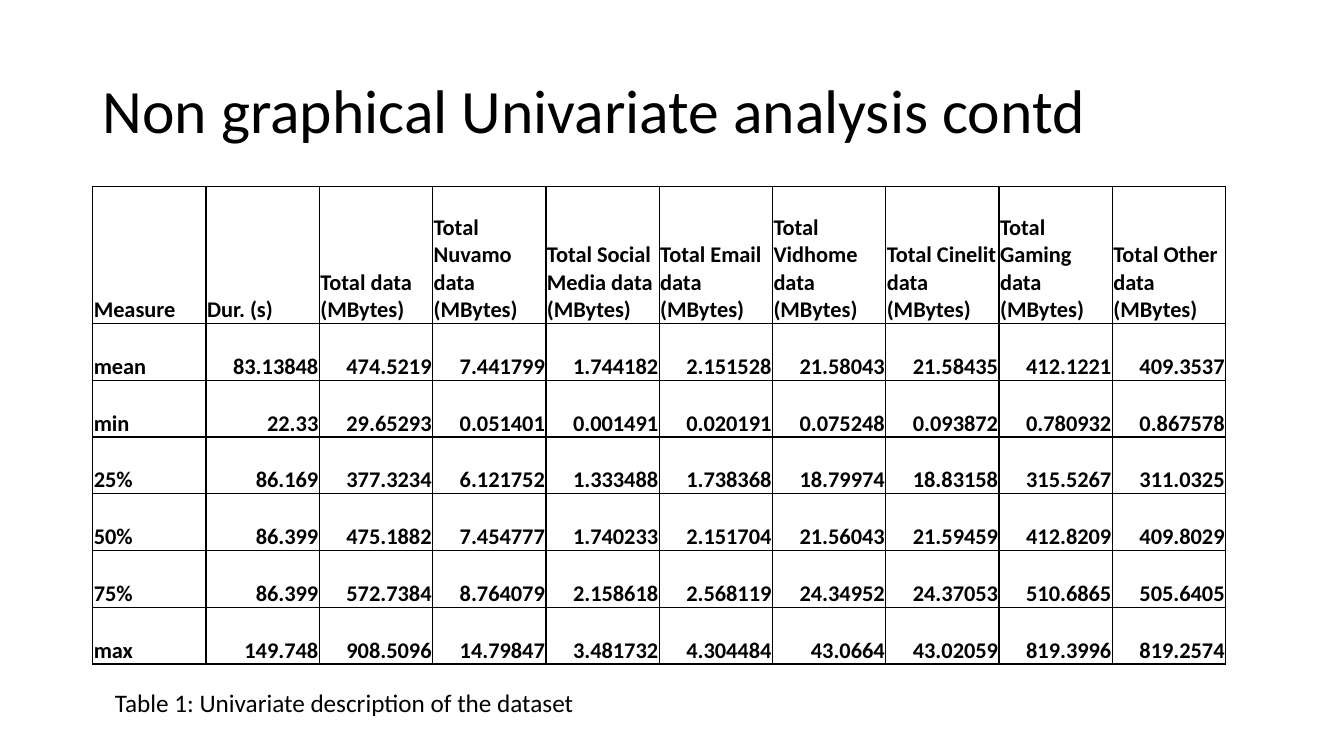
from lxml.etree import SubElement
from pptx import Presentation
from pptx.dml.color import RGBColor
from pptx.enum.text import MSO_ANCHOR as ANCHOR, PP_ALIGN as ALIGN
from pptx.oxml.ns import qn
from pptx.util import Inches, Pt

FONT = "Calibri"
BLACK = "000000"
TOPICS = ["", "Nuvamo ", "Social Media ", "Email ", "Vidhome ", "Cinelit ", "Gaming ", "Other "]
HEADER = ["Measure", "Dur. (s)"] + [f"Total {topic}data (MBytes)" for topic in TOPICS]
STATISTICS = """
mean 83.13848 474.5219 7.441799 1.744182 2.151528 21.58043 21.58435 412.1221 409.3537
min 22.33 29.65293 0.051401 0.001491 0.020191 0.075248 0.093872 0.780932 0.867578
25% 86.169 377.3234 6.121752 1.333488 1.738368 18.79974 18.83158 315.5267 311.0325
50% 86.399 475.1882 7.454777 1.740233 2.151704 21.56043 21.59459 412.8209 409.8029
75% 86.399 572.7384 8.764079 2.158618 2.568119 24.34952 24.37053 510.6865 505.6405
max 149.748 908.5096 14.79847 3.481732 4.304484 43.0664 43.02059 819.3996 819.2574
"""


def color(hex_string):
    """Turn a hex string into a colour."""
    return RGBColor.from_string(hex_string)


def write(tf, text, size=18, bold=False, align=ALIGN.LEFT, spacing=None):
    """Put one formatted paragraph into a text frame."""
    tf.word_wrap = True
    p = tf.paragraphs[0]
    p.alignment = align
    p.line_spacing = spacing
    r = p.add_run()
    r.text = text
    r.font.name, r.font.size, r.font.bold = FONT, Pt(size), bold
    r.font.color.rgb = color(BLACK)


def add_text(s, box, text, anchor=ANCHOR.TOP, **fmt):
    """Add a text box that fills the given box."""
    tf = s.shapes.add_textbox(*map(Inches, box)).text_frame
    tf.vertical_anchor = anchor
    write(tf, text, **fmt)


def add_borders(cell, width=1):
    """Draw a solid line on all four sides of a cell."""
    tc_pr = cell._tc.get_or_add_tcPr()
    for side in ("lnL", "lnR", "lnT", "lnB"):
        ln = SubElement(tc_pr, qn(f"a:{side}"), w=str(Pt(width)))
        fill = SubElement(ln, qn("a:solidFill"))
        SubElement(fill, qn("a:srgbClr"), val=BLACK)


def add_statistics(s, box, rows, header_height=1.36):
    """Add the table with equal columns and equal rows below the header."""
    x, y, w, h = box
    table = s.shapes.add_table(len(rows), len(rows[0]), *map(Inches, box)).table
    table.first_row = table.horz_banding = False
    for col in table.columns:
        col.width = Inches(w / len(rows[0]))
    for i, values in enumerate(rows):
        body_height = (h - header_height) / (len(rows) - 1)
        table.rows[i].height = Inches(body_height if i else header_height)
        for j, value in enumerate(values):
            cell = table.cell(i, j)
            cell.margin_left = cell.margin_right = cell.margin_top = Inches(0.01)
            cell.margin_bottom = 0
            cell.vertical_anchor = ANCHOR.BOTTOM
            add_borders(cell)
            cell.fill.background()
            write(cell.text_frame, value, size=16, bold=True,
                  align=ALIGN.RIGHT if i and j else ALIGN.LEFT)


def main():
    """Build the slide and save it."""
    prs = Presentation()
    prs.slide_width, prs.slide_height = Inches(13.33), Inches(7.5)
    s = prs.slides.add_slide(prs.slide_layouts[6])
    add_text(s, (0.92, 0.4, 11.5, 1.45), "Non graphical Univariate analysis contd",
             anchor=ANCHOR.MIDDLE, size=44, spacing=0.9)
    rows = [HEADER] + [line.split() for line in STATISTICS.strip().splitlines()]
    add_statistics(s, (0.92, 1.85, 11.24, 4.74), rows)
    add_text(s, (1.04, 6.77, 10.83, 0.4), "Table 1: Univariate description of the dataset")
    prs.save("out.pptx")


main()
